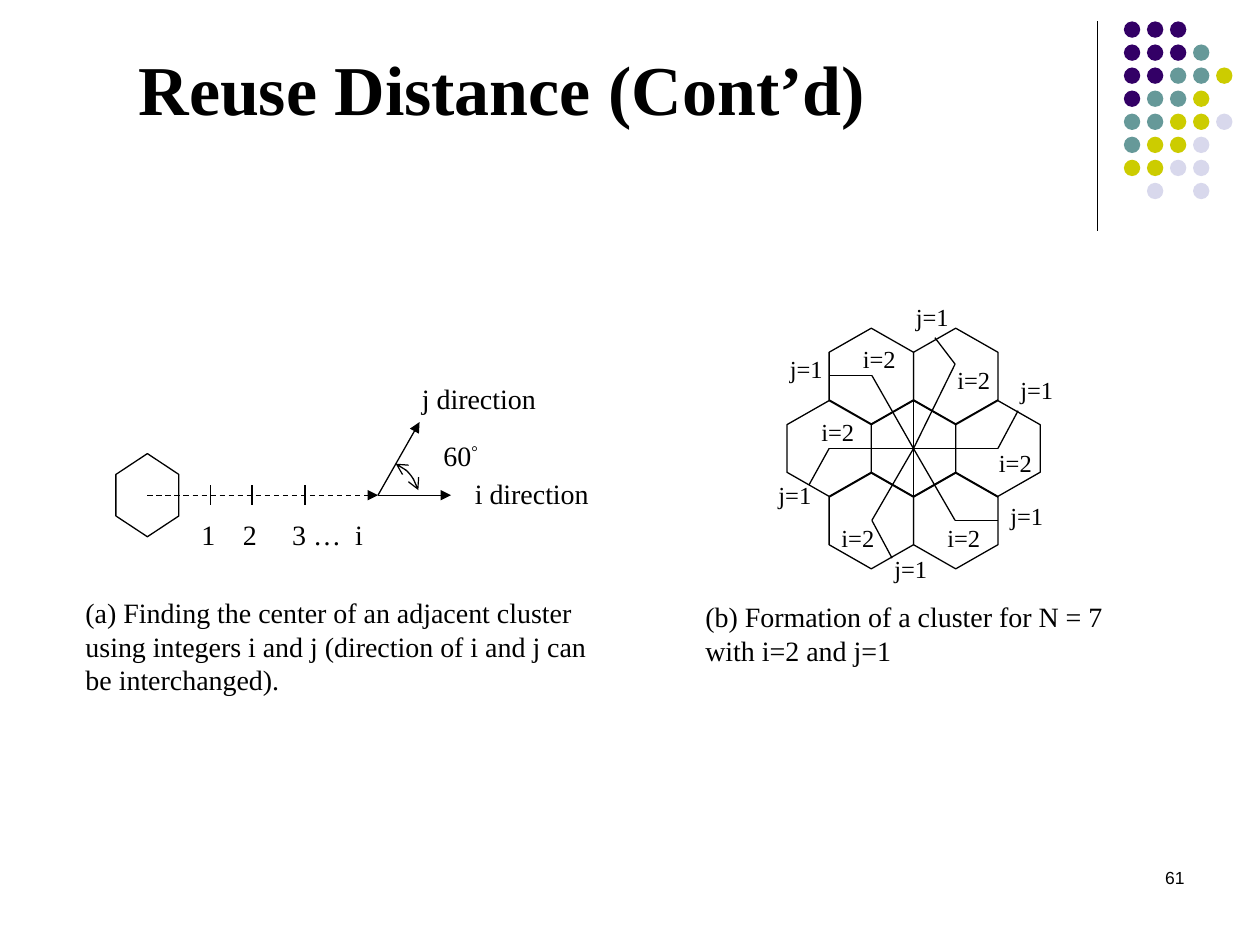
from dataclasses import dataclass

import pptx
import pptx.dml.color
import pptx.enum.dml
import pptx.enum.shapes
import pptx.enum.text
import pptx.oxml
import pptx.oxml.ns
import pptx.util
from pptx.util import Inches

Align = pptx.enum.text.PP_ALIGN
AutoSize = pptx.enum.text.MSO_AUTO_SIZE
Shape = pptx.enum.shapes.MSO_SHAPE


@dataclass(frozen=True)
class Theme:
    ink: str = "000000"
    paper: str = "FFFFFF"
    purple: str = "330066"
    teal: str = "669999"
    olive: str = "CCCC00"
    pale: str = "D8D8EC"
    serif: str = "Times New Roman"
    sans: str = "Arial"
    title: int = 40
    body: int = 16
    label: int = 14
    number: int = 10
    line: float = 0.75


THEME = Theme()


@dataclass(frozen=True)
class Label:
    text: str
    left: float
    top: float
    width: float = 0.5
    height: float = 0.34
    size: int = THEME.label
    font: str = THEME.serif
    align: Align = Align.LEFT
    tabs: tuple[float, ...] = ()
    superscript: str = ""


@dataclass(frozen=True)
class Line:
    start: tuple[float, float]
    end: tuple[float, float]
    arrow: bool = False
    dashed: bool = False


def rgb(value: str) -> pptx.dml.color.RGBColor:
    return pptx.dml.color.RGBColor.from_string(value)


def set_font(p, name: str, size: int, bold: bool = False) -> None:
    p.font.name = name
    p.font.size = pptx.util.Pt(size)
    p.font.bold = bold
    p.font.color.rgb = rgb(THEME.ink)


def set_line(line) -> None:
    line.color.rgb = rgb(THEME.ink)
    line.width = pptx.util.Pt(THEME.line)


def add_element(parent, tag: str, **attributes: str):
    child = pptx.oxml.ns.qn(tag)
    element = parent.makeelement(child, attributes)
    parent.append(element)
    return element


def add_label(shapes, label: Label) -> None:
    sp = shapes.add_textbox(*map(Inches, (label.left, label.top, label.width, label.height)))
    tf = sp.text_frame
    tf.word_wrap = True
    tf.auto_size = AutoSize.SHAPE_TO_FIT_TEXT
    p = tf.paragraphs[0]
    p.alignment = label.align
    if label.tabs:
        tab_list = add_element(p._p.get_or_add_pPr(), "a:tabLst")
        for stop in label.tabs:
            add_element(tab_list, "a:tab", pos=str(Inches(stop)), algn="l")
    set_font(p, label.font, label.size)
    p.add_run().text = label.text
    if label.superscript:
        r = p.add_run()
        r.text = label.superscript
        r._r.get_or_add_rPr().set("baseline", "30000")


def add_line(shapes, line: Line) -> None:
    cxn = shapes.add_connector(
        pptx.enum.shapes.MSO_CONNECTOR.STRAIGHT, *map(Inches, line.start + line.end))
    set_line(cxn.line)
    if line.dashed:
        cxn.line.dash_style = pptx.enum.dml.MSO_LINE.DASH
    if line.arrow:
        add_element(cxn.line._get_or_add_ln(), "a:tailEnd", type="triangle")
    add_element(cxn._element.spPr, "a:effectLst")


def add_hexagon(shapes, center: tuple[float, float], width: float, height: float,
                adjust: float, rotation: int) -> None:
    x, y = center
    sp = shapes.add_shape(Shape.HEXAGON, Inches(x - width / 2), Inches(y - height / 2),
                          Inches(width), Inches(height))
    sp.adjustments[0] = adjust
    sp.rotation = rotation
    sp.shadow.inherit = False
    sp.fill.solid()
    sp.fill.fore_color.rgb = rgb(THEME.paper)
    set_line(sp.line)


def add_angle_arc(shapes, curve: tuple[tuple[float, float], ...], steps: int = 12) -> None:
    """Draw a cubic curve with an open arrowhead at each end."""
    def point(t: float) -> tuple[int, int]:
        weights = ((1 - t) ** 3, 3 * t * (1 - t) ** 2, 3 * t * t * (1 - t), t ** 3)
        x, y = (sum(w * c for w, c in zip(weights, axis)) for axis in zip(*curve))
        return Inches(x), Inches(y)

    points = [point(i / steps) for i in range(steps + 1)]
    builder = shapes.build_freeform(*points[0])
    builder.add_line_segments(points[1:], close=False)
    sp = builder.convert_to_shape()
    sp.shadow.inherit = False
    sp.fill.background()
    set_line(sp.line)
    for end in ("a:headEnd", "a:tailEnd"):
        add_element(sp.line._get_or_add_ln(), end, type="arrow")


def add_dots(shapes) -> None:
    colors = {"P": THEME.purple, "T": THEME.teal, "Y": THEME.olive, "L": THEME.pale}
    rows = ("PPP", "PPPT", "PPTTY", "PTTY", "TTYYL", "TYYL", "YYLL", " L L")
    pitch, size = 0.183, 0.13
    group = shapes.add_group_shape()
    for i, row in enumerate(rows):
        for j, key in enumerate(row):
            if key in colors:
                sp = group.shapes.add_shape(
                    Shape.OVAL, Inches(8.92 + j * pitch), Inches(0.17 + i * pitch),
                    Inches(size), Inches(size))
                sp.shadow.inherit = False
                sp.fill.solid()
                sp.fill.fore_color.rgb = rgb(colors[key])
                sp.line.fill.background()


def add_title(slide, text: str) -> None:
    sp = slide.shapes.title
    sp.left, sp.top, sp.width, sp.height = map(Inches, (1, 0.25, 8.52, 0.83))
    tf = sp.text_frame
    tf.text = text
    tf.auto_size = AutoSize.NONE
    tf.vertical_anchor = pptx.enum.text.MSO_ANCHOR.BOTTOM
    p = tf.paragraphs[0]
    p.alignment = Align.LEFT
    set_font(p, THEME.serif, THEME.title, bold=True)


def add_direction_diagram(shapes) -> None:
    origin, turn = (1.17, 3.93), (3, 3.93)
    add_hexagon(shapes, origin, 0.66, 0.5, 0.33, 270)
    add_line(shapes, Line(origin, turn, arrow=True, dashed=True))
    for end in ((3.33, 3.35), (3.58, 3.93)):
        add_line(shapes, Line(turn, end, arrow=True))
    for x in (1.67, 2, 2.42):
        add_line(shapes, Line((x, 3.85), (x, 4.01)))
    add_angle_arc(shapes, ((3.14, 3.68), (3.22, 3.71), (3.29, 3.79), (3.32, 3.89)))
    for label in (
        Label("60", 3.42, 3.43, 0.58, 0.37, THEME.body, superscript="°"),
        Label("\t1\t2\t3 …\ti", 1.17, 4.06, 3, 0.37, THEME.body, tabs=(0.33, 0.66, 1.05, 1.55)),
        Label("j direction", 3.25, 2.98, 1.42, 0.37, THEME.body),
        Label("i direction", 3.67, 3.73, 1.42, 0.37, THEME.body),
        Label("(a) Finding the center of an adjacent cluster using integers i and j "
              "(direction of i and j can be interchanged).", 0.58, 4.68, 4.42, 0.9, THEME.body),
    ):
        add_label(shapes, label)


def add_cluster_diagram(shapes) -> None:
    x, y = center = (7.25, 3.56)
    half, row = 0.335, 0.575
    # Seven cells: the centre and its six neighbours
    for dx, dy in ((0, 0), (1, -1), (-1, -1), (2, 0), (1, 1), (-1, 1), (-2, 0)):
        add_hexagon(shapes, (x + dx * half, y + dy * row), 0.76, 0.67, 0.285, 90)
    add_line(shapes, Line((x, 3.17), (x, 3.94)))
    # Each path runs i steps from the centre, then turns for j
    for corner, end in (
        ((6.92, 4.13), (7.08, 4.43)), ((7.58, 4.13), (7.92, 4.13)),
        ((7.92, 3.56), (8.08, 3.26)), ((7.58, 2.89), (7.42, 2.68)),
        ((6.92, 2.98), (6.58, 2.98)), ((6.58, 3.56), (6.42, 3.85)),
    ):
        add_line(shapes, Line(center, corner))
        add_line(shapes, Line(corner, end))
    places = {
        "i=2": ((6.75, 2.68), (7.5, 2.85), (6.42, 3.26), (7.83, 3.51), (7.42, 4.1), (6.58, 4.1)),
        "j=1": ((6.17, 2.76), (7.17, 2.35), (6.08, 3.76), (7, 4.35), (8, 2.93), (7.92, 3.93)),
    }
    for text, spots in places.items():
        for spot in spots:
            add_label(shapes, Label(text, *spot))
    add_label(shapes, Label("(b) Formation of a cluster for N = 7 with i=2 and j=1",
                            5.5, 4.71, 3.67, 0.64, THEME.body))


def main() -> None:
    prs = pptx.Presentation()
    prs.slide_width, prs.slide_height = Inches(10), Inches(7.5)
    s = prs.slides.add_slide(prs.slide_layouts[5])
    # Corner ornament
    add_line(s.shapes, Line((8.71, 0.17), (8.71, 1.83)))
    add_dots(s.shapes)
    # Title and slide number
    add_title(s, "Reuse Distance (Cont’d)")
    add_label(s.shapes, Label("61", 7.17, 6.83, 2.33, 0.5, THEME.number, THEME.sans, Align.RIGHT))
    # Diagrams
    add_direction_diagram(s.shapes)
    add_cluster_diagram(s.shapes)
    prs.save("out.pptx")


if __name__ == "__main__":
    main()
